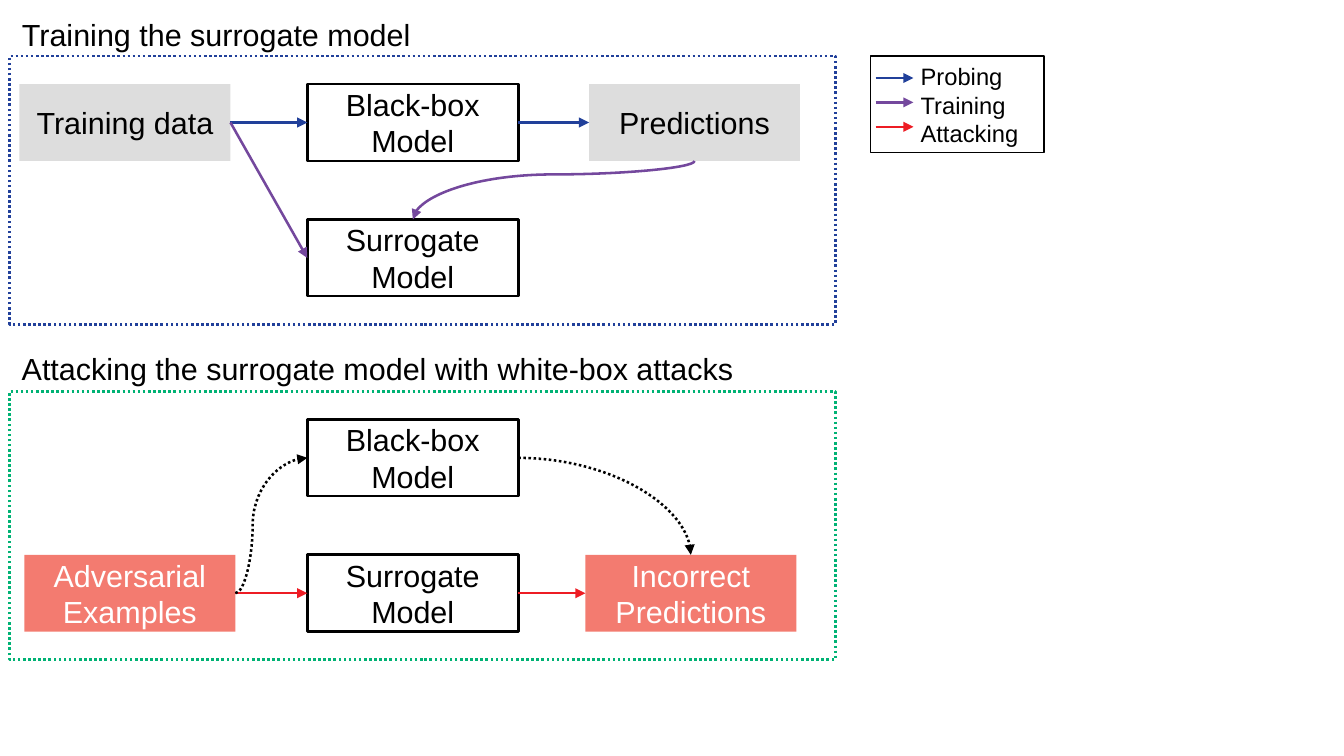
import pptx
import pptx.dml.color
import pptx.enum.dml
import pptx.enum.shapes
import pptx.enum.text
import pptx.oxml
import pptx.oxml.ns
import pptx.util

# Grid in inches: two panels, each with three columns and two rows of boxes
SLIDE_WIDTH, SLIDE_HEIGHT = 11.02, 6.2
PANEL_LEFT, PANEL_WIDTH, PANEL_HEIGHT = 0.08, 6.77, 2.2
PANEL_TOPS = (0.46, 3.21)
HEADING_WIDTH, HEADING_HEIGHT = 6.03, 0.38
BOX_WIDTH, BOX_HEIGHT = 1.73, 0.63
MIDDLE_COLUMN = 2.52
ROW_OFFSETS = (0.23, 1.34)
LEGEND_LEFT, LEGEND_WIDTH, LEGEND_HEIGHT = 7.14, 1.42, 0.79

BLUE, PURPLE, RED, GREEN = "21409A", "74489D", "ED1C24", "00B274"
GREY, SALMON, BLACK, WHITE = "DDDDDD", "F37B70", "000000", "FFFFFF"

TOP, LEFT, BOTTOM, RIGHT = range(4)  # connection sites of a rectangle
DASH = pptx.enum.dml.MSO_LINE.ROUND_DOT
ALIGN = pptx.enum.text.PP_ALIGN
ANCHOR = pptx.enum.text.MSO_ANCHOR
CONNECTOR = pptx.enum.shapes.MSO_CONNECTOR
inches = pptx.util.Inches


def color(hex_string):
    return pptx.dml.color.RGBColor.from_string(hex_string)


def write_text(shape, text, size=18, font_color=BLACK, align=ALIGN.LEFT,
               anchor=ANCHOR.TOP, wrap=False, margins=(0.1, 0.05)):
    frame = shape.text_frame
    frame.text = text
    frame.word_wrap = wrap
    frame.auto_size = pptx.enum.text.MSO_AUTO_SIZE.NONE
    frame.vertical_anchor = anchor
    frame.margin_left = frame.margin_right = inches(margins[0])
    frame.margin_top = frame.margin_bottom = inches(margins[1])
    for paragraph in frame.paragraphs:
        paragraph.alignment = align
        paragraph.font.name = "Arial"
        paragraph.font.size = pptx.util.Pt(size)
        paragraph.font.color.rgb = color(font_color)


def set_line(line, line_color, width=1.5, dash=None):
    line.color.rgb = color(line_color)
    line.width = pptx.util.Pt(width)
    if dash is not None:
        line.dash_style = dash


def add_rectangle(slide, left, top, width, height, fill=None, line=None,
                  line_width=1.5, dash=None):
    shape = slide.shapes.add_shape(
        pptx.enum.shapes.MSO_SHAPE.RECTANGLE,
        *map(inches, (left, top, width, height)))
    shape.shadow.inherit = False
    if fill:
        shape.fill.solid()
        shape.fill.fore_color.rgb = color(fill)
    else:
        shape.fill.background()
    if line:
        set_line(shape.line, line, line_width, dash)
    else:
        shape.line.fill.background()
    return shape


def add_box(slide, text, left, panel, row, fill=None, font_color=BLACK):
    top = PANEL_TOPS[panel] + ROW_OFFSETS[row]
    box = add_rectangle(slide, left, top, BOX_WIDTH, BOX_HEIGHT, fill=fill,
                        line=None if fill else BLACK)
    write_text(box, text, font_color=font_color, align=ALIGN.CENTER,
               anchor=ANCHOR.MIDDLE, margins=(0.11, 0.06))
    return box


def site_point(box, site):
    """Return the middle of one side of a box."""
    x = {LEFT: 0, RIGHT: box.width}.get(site, box.width // 2)
    y = {TOP: 0, BOTTOM: box.height}.get(site, box.height // 2)
    return box.left + x, box.top + y


def add_arrow(slide, start, end, line_color, dash=None, kind=CONNECTOR.STRAIGHT):
    arrow = slide.shapes.add_connector(kind, *start, *end)
    set_line(arrow.line, line_color, dash=dash)
    arrow.line._get_or_add_ln().append(pptx.oxml.parse_xml(
        f'<a:tailEnd {pptx.oxml.ns.nsdecls("a")} type="triangle"/>'))
    arrow.element.spPr.append(pptx.oxml.parse_xml(
        f'<a:effectLst {pptx.oxml.ns.nsdecls("a")}/>'))
    return arrow


def link(slide, source, target, line_color):
    """Join the right side of one box to the left side of another."""
    arrow = add_arrow(slide, site_point(source, RIGHT),
                      site_point(target, LEFT), line_color)
    arrow.begin_connect(source, RIGHT)
    arrow.end_connect(target, LEFT)


def add_curve(slide, start, end, line_color, dash=None, bend=None, vertical=False):
    """Draw an S curve with its bend at a share of the way, or a quarter curve."""
    if vertical:  # the outline lies on its side and is turned a quarter
        center_x, center_y = (start[0] + end[0]) // 2, (start[1] + end[1]) // 2
        half_width, half_height = abs(end[1] - start[1]) // 2, abs(end[0] - start[0]) // 2
        start = center_x - half_width, center_y - half_height
        end = center_x + half_width, center_y + half_height
    curve = add_arrow(slide, start, end, line_color, dash, CONNECTOR.CURVE)
    geometry = curve.element.spPr.find(pptx.oxml.ns.qn("a:prstGeom"))
    if bend is None:
        geometry.set("prst", "curvedConnector2")
    else:
        guides = geometry.find(pptx.oxml.ns.qn("a:avLst"))
        guides.append(pptx.oxml.parse_xml(
            f'<a:gd {pptx.oxml.ns.nsdecls("a")} name="adj1" '
            f'fmla="val {round(bend * 100000)}"/>'))
    if vertical:
        curve.element.spPr.find(pptx.oxml.ns.qn("a:xfrm")).set("rot", "5400000")


def add_panel(slide, panel, line_color):
    add_rectangle(slide, PANEL_LEFT, PANEL_TOPS[panel], PANEL_WIDTH,
                  PANEL_HEIGHT, line=line_color, dash=DASH)
    return [add_box(slide, text, MIDDLE_COLUMN, panel, row)
            for row, text in enumerate(("Black-box\nModel", "Surrogate\nModel"))]


def add_headings(slide):
    title = slide.shapes.title
    title.left, title.top, title.width, title.height = map(
        inches, (PANEL_LEFT, PANEL_TOPS[0] - HEADING_HEIGHT,
                 HEADING_WIDTH, HEADING_HEIGHT))
    write_text(title, "Training the surrogate model")
    heading = slide.shapes.add_textbox(*map(
        inches, (PANEL_LEFT, PANEL_TOPS[1] - HEADING_HEIGHT - 0.01,
                 HEADING_WIDTH, HEADING_HEIGHT)))
    write_text(heading, "Attacking the surrogate model with white-box attacks")


def add_training_panel(slide):
    black_box, surrogate = add_panel(slide, 0, BLUE)
    data = add_box(slide, "Training data", 0.16, 0, 0, fill=GREY)
    predictions = add_box(slide, "Predictions", 4.83, 0, 0, fill=GREY)
    link(slide, data, black_box, BLUE)
    link(slide, data, surrogate, PURPLE)
    link(slide, black_box, predictions, BLUE)
    add_curve(slide, site_point(predictions, BOTTOM), site_point(surrogate, TOP),
              PURPLE, bend=0.23, vertical=True)


def add_attack_panel(slide):
    black_box, surrogate = add_panel(slide, 1, GREEN)
    examples = add_box(slide, "Adversarial\nExamples", 0.2, 1, 1, SALMON, WHITE)
    incorrect = add_box(slide, "Incorrect\nPredictions", 4.8, 1, 1, SALMON, WHITE)
    link(slide, examples, surrogate, RED)
    link(slide, surrogate, incorrect, RED)
    add_curve(slide, site_point(examples, RIGHT), site_point(black_box, LEFT),
              BLACK, dash=DASH, bend=0.24)
    add_curve(slide, site_point(black_box, RIGHT), site_point(incorrect, TOP),
              BLACK, dash=DASH)


def add_legend(slide):
    top = PANEL_TOPS[0]
    entries = {"Probing": BLUE, "Training": PURPLE, "Attacking": RED}
    labels = slide.shapes.add_textbox(*map(
        inches, (LEGEND_LEFT + 0.31, top, 1.18, LEGEND_HEIGHT)))
    write_text(labels, "\n".join(entries), size=14, wrap=True)
    for row, line_color in enumerate(entries.values()):
        y = inches(top + 0.18 + 0.2 * row)
        add_arrow(slide, (inches(LEGEND_LEFT + 0.04), y),
                  (inches(LEGEND_LEFT + 0.35), y), line_color)
    add_rectangle(slide, LEGEND_LEFT, top, LEGEND_WIDTH, LEGEND_HEIGHT,
                  line=BLACK, line_width=0.79)


def main():
    presentation = pptx.Presentation()
    presentation.slide_width = inches(SLIDE_WIDTH)
    presentation.slide_height = inches(SLIDE_HEIGHT)
    slide = presentation.slides.add_slide(presentation.slide_layouts[5])
    add_headings(slide)
    add_training_panel(slide)
    add_attack_panel(slide)
    add_legend(slide)
    presentation.save("out.pptx")


if __name__ == "__main__":
    main()
